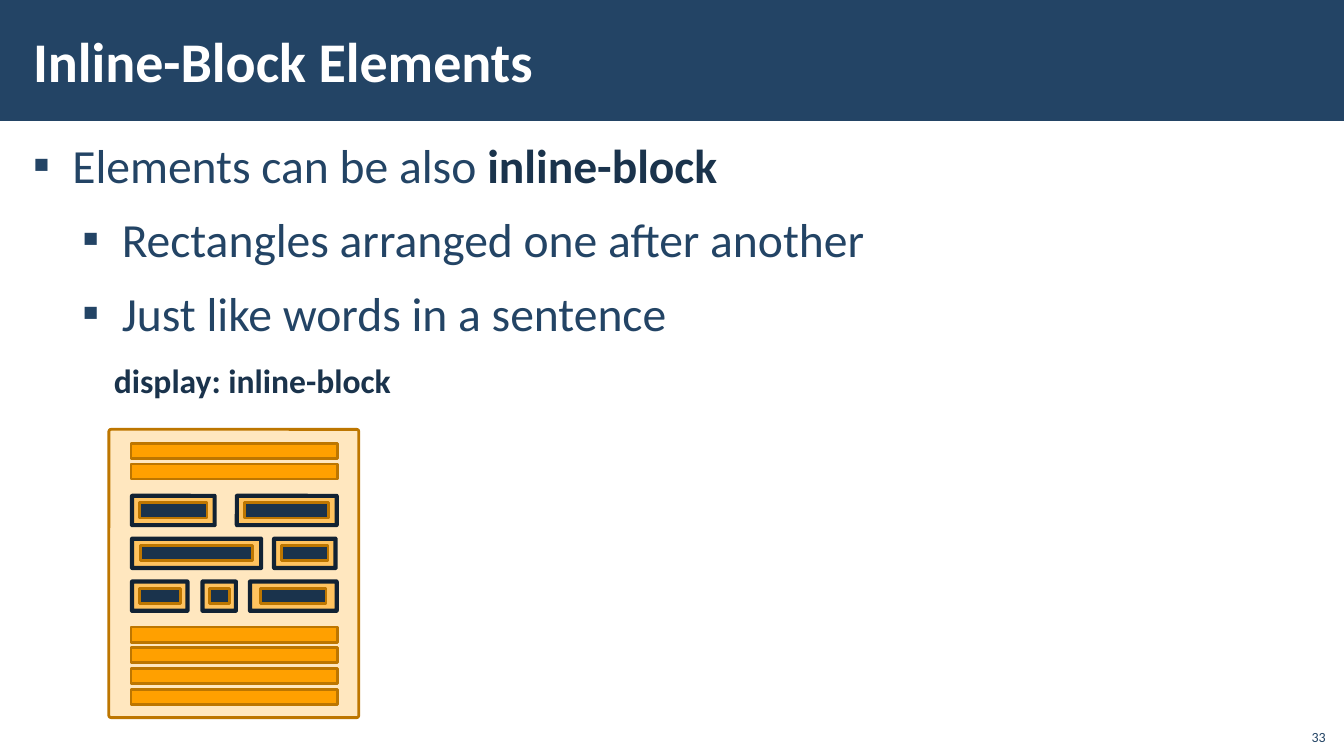
"""Build the slide on inline-block elements."""
from lxml import etree
from pptx import Presentation
from pptx.dml.color import RGBColor
from pptx.enum import shapes, text
from pptx.oxml import ns
from pptx.util import Pt

NAVY, DARK, WHITE = "234465", "1A334C", "FFFFFF"
ORANGE, BROWN, INK = "FFA000", "BD7600", "112233"
RECTANGLE = shapes.MSO_SHAPE.RECTANGLE
ROUNDED = shapes.MSO_SHAPE.ROUNDED_RECTANGLE


def add_box(kind, left, top, width, height, fill, line=None, weight=2, opacity=100):
    shape = slide.shapes.add_shape(kind, Pt(left), Pt(top), Pt(width), Pt(height))
    shape.shadow.inherit = False
    shape.fill.solid()
    shape.fill.fore_color.rgb = RGBColor.from_string(fill)
    if kind == ROUNDED:
        shape.adjustments[0] = 0.009
    if opacity < 100:
        color = shape.fill._xPr.find(".//" + ns.qn("a:srgbClr"))
        etree.SubElement(color, ns.qn("a:alpha"), val=str(opacity * 1000))
    if line:
        shape.line.color.rgb = RGBColor.from_string(line)
        shape.line.width = Pt(weight)
    else:
        shape.line.fill.background()


def add_text(left, top, width, height, paragraphs, size, anchor, align, inset=(7.2, 3.6)):
    shape = slide.shapes.add_textbox(Pt(left), Pt(top), Pt(width), Pt(height))
    frame = shape.text_frame
    frame.word_wrap = True
    frame.vertical_anchor = anchor
    frame.margin_left = frame.margin_right = Pt(inset[0])
    frame.margin_top = frame.margin_bottom = Pt(inset[1])
    for index, runs in enumerate(paragraphs):
        paragraph = frame.add_paragraph() if index else frame.paragraphs[0]
        paragraph.alignment = align
        for content, color, bold in runs:
            run = paragraph.add_run()
            run.text = content
            run.font.name = "Calibri"
            run.font.size = Pt(size)
            run.font.bold = bold
            run.font.color.rgb = RGBColor.from_string(color)
    return frame


presentation = Presentation()
presentation.slide_width = Pt(960)
presentation.slide_height = Pt(540)
slide = presentation.slides.add_slide(presentation.slide_layouts[6])
anchors, aligns = text.MSO_ANCHOR, text.PP_ALIGN

add_box(RECTANGLE, 0, 0, 960, 86.4, NAVY)
add_text(15.12, 7.92, 765.36, 69.84, [[("Inline-Block Elements", WHITE, True)]],
         40, anchors.MIDDLE, aligns.LEFT, (8.5, 2.83))

bullets = [
    [("Elements can be also ", NAVY, False), ("inline-block", DARK, True)],
    [("Rectangles arranged one after another", NAVY, False)],
    [("Just like words in a sentence", NAVY, False)],
]
body = add_text(15.12, 94.32, 930.24, 435.6, bullets,
                34, anchors.TOP, aligns.LEFT, (8.5, 2.83))
for index, paragraph in enumerate(body.paragraphs):
    paragraph.level = min(index, 1)
    paragraph.space_before = Pt(6 if index else 0)
    paragraph.space_after = Pt(6)
    properties = paragraph._p.get_or_add_pPr()
    properties.set("marL", str(Pt(63.36 if index else 28.08)))
    properties.set("indent", str(-Pt(28.08)))
    color = etree.SubElement(properties, ns.qn("a:buClr"))
    etree.SubElement(color, ns.qn("a:srgbClr"), val=NAVY)
    etree.SubElement(properties, ns.qn("a:buFont"), typeface="Calibri")
    etree.SubElement(properties, ns.qn("a:buChar"), char="▪")

add_text(27.36, 253.44, 306, 36, [[("display: inline-block", DARK, True)]],
         24, anchors.TOP, aligns.CENTER)

add_box(ROUNDED, 77.76, 306.72, 178.56, 205.92, ORANGE, BROWN, opacity=25)
for first_top, count in [(316.6, 2), (447.9, 4)]:
    for index in range(count):
        add_box(RECTANGLE, 93.6, first_top + 14.8 * index, 147.6, 10.8, ORANGE, BROWN)

block_rows = [
    [(94.3, 59, 48.2), (169.2, 71.3, 59.8)],
    [(94.3, 92.2, 79.9), (195.8, 43.9, 33.1)],
    [(94.3, 39.6, 29.5), (144.7, 23.8, 14.4), (178.6, 61.9, 46.8)],
]
for row, blocks in enumerate(block_rows):
    top = 354.2 + 30.6 * row
    for left, width, content_width in blocks:
        add_box(ROUNDED, left, top, width, 20.9, ORANGE, INK, 3, 50)
        content_left = left + (width - content_width) / 2
        add_box(RECTANGLE, content_left, top + 5, content_width, 10.8, DARK, BROWN)

add_text(925.2, 512.64, 28.8, 23.04, [[("33", NAVY, False)]],
         10, anchors.BOTTOM, aligns.RIGHT)

presentation.save("out.pptx")
